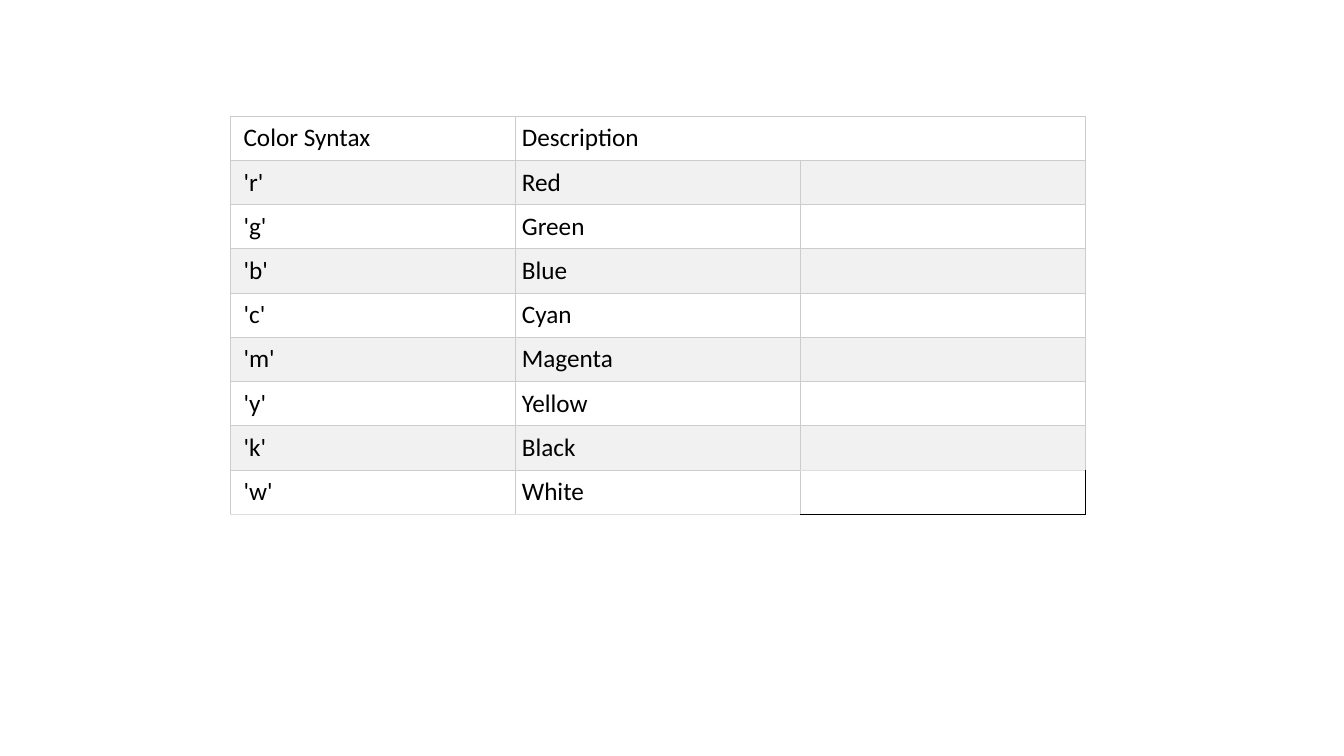
from lxml import etree
from pptx import Presentation
from pptx.dml.color import RGBColor
from pptx.enum.text import MSO_ANCHOR
from pptx.oxml.ns import qn
from pptx.util import Pt

MIDDLE = MSO_ANCHOR.MIDDLE
BLANK_LAYOUT = 6

COLOR_CODES = [
    ("Color Syntax", "Description"),
    ("'r'", "Red"),
    ("'g'", "Green"),
    ("'b'", "Blue"),
    ("'c'", "Cyan"),
    ("'m'", "Magenta"),
    ("'y'", "Yellow"),
    ("'k'", "Black"),
    ("'w'", "White"),
]


def color(hex_code):
    return RGBColor.from_string(hex_code)


def write_text(frame, text, font="Calibri", size=18, ink="000000"):
    para = frame.paragraphs[0]
    para.font.size = Pt(size)
    if text:
        span = para.add_run()
        span.text = text
        span.font.name = font
        span.font.size = Pt(size)
        span.font.color.rgb = color(ink)


def set_borders(cell, width=0.6, **sides):
    """Draw the L, R, T and B edges in the given hex colours."""
    properties = cell._tc.get_or_add_tcPr()
    for position, side in enumerate("LRTB"):
        line = etree.Element(qn("a:ln" + side), w=str(int(Pt(width))))
        fill = etree.SubElement(line, qn("a:solidFill"))
        etree.SubElement(fill, qn("a:srgbClr"), val=sides[side])
        properties.insert(position, line)


class SlideBuilder:
    """Holds the table style and the current slide."""

    white, band = "FFFFFF", "F1F1F1"
    grid, pale_grid, black = "CCCCCC", "DDDDDD", "000000"
    inset, wide_inset = 4.8, 9.6

    def __init__(self, deck):
        self.page = deck.slides.add_slide(deck.slide_layouts[BLANK_LAYOUT])

    def add_table(self, rows, columns, left, top, column_width, row_height):
        frame = self.page.shapes.add_table(
            len(rows), columns, Pt(left), Pt(top),
            Pt(column_width * columns), Pt(row_height * len(rows)))
        table = frame.table
        table.first_row = table.horz_banding = False
        for column in table.columns:
            column.width = Pt(column_width)
        for row_index, texts in enumerate(rows):
            table.rows[row_index].height = Pt(row_height)
            for column_index in range(columns):
                cell = table.cell(row_index, column_index)
                text = texts[column_index] if column_index < len(texts) else ""
                self.fill_cell(cell, text, row_index, column_index)
        return table

    def fill_cell(self, cell, text, row_index, column_index):
        cell.fill.solid()
        cell.fill.fore_color.rgb = color(self.band if row_index % 2 else self.white)
        cell.margin_left = Pt(self.inset if column_index else self.wide_inset)
        cell.margin_right = cell.margin_top = cell.margin_bottom = Pt(self.inset)
        cell.vertical_anchor = MIDDLE
        write_text(cell.text_frame, text)

    def rule_table(self, table):
        last_row, last_column = len(table.rows) - 1, len(table.columns) - 1
        for row_index in range(last_row + 1):
            for column_index in range(last_column + 1):
                edges = dict.fromkeys("LRTB", self.grid)
                if row_index == last_row:
                    edges["B"] = self.pale_grid
                if column_index == last_column:
                    if row_index == last_row - 1:
                        edges["B"] = self.pale_grid
                    elif row_index == last_row:
                        edges.update(T=self.pale_grid, R=self.black, B=self.black)
                set_borders(table.cell(row_index, column_index), **edges)


def main():
    deck = Presentation()
    deck.slide_width, deck.slide_height = Pt(960), Pt(540)
    builder = SlideBuilder(deck)

    # Colour code table, its header spanning the last two columns
    table = builder.add_table(COLOR_CODES, columns=3, left=164.4, top=83,
                              column_width=203.6, row_height=31.57)
    table.cell(0, 1).merge(table.cell(0, 2))
    builder.rule_table(table)

    deck.save("out.pptx")


if __name__ == "__main__":
    main()
